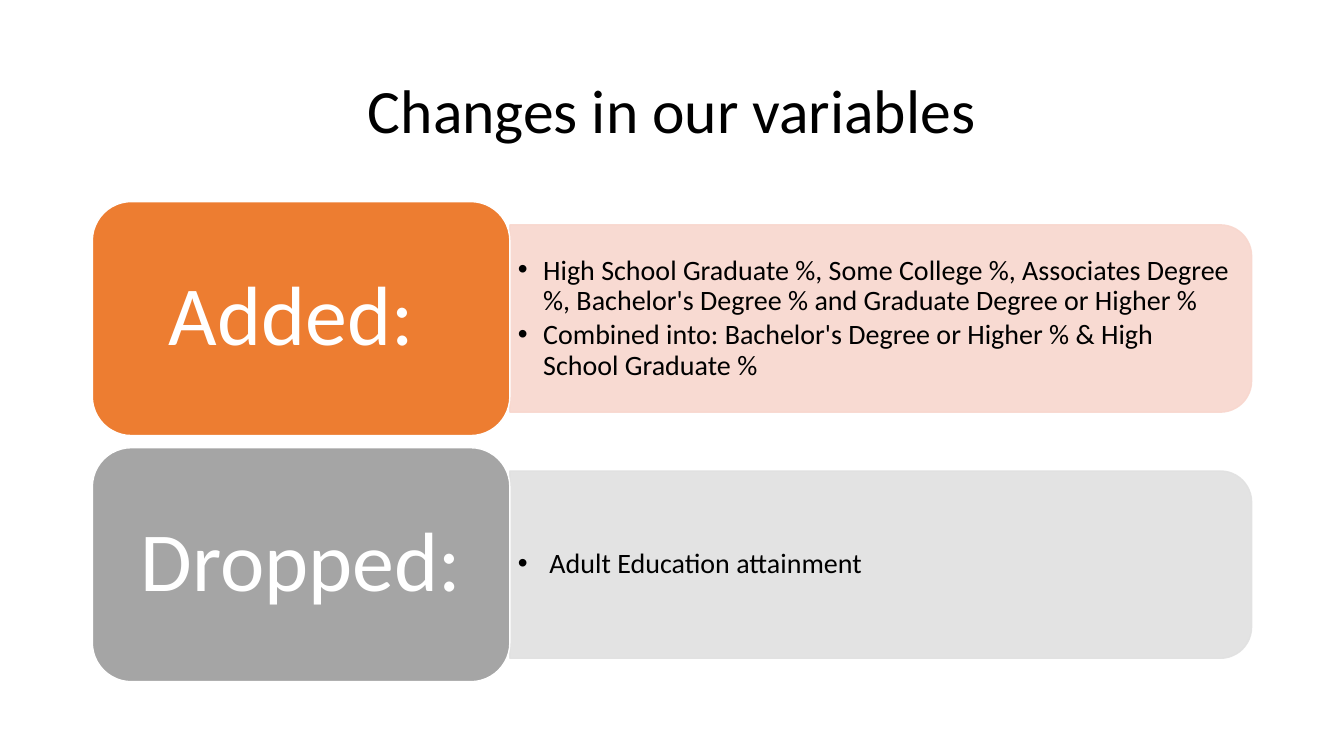
from dataclasses import dataclass

from lxml.etree import SubElement
from pptx import Presentation
from pptx.dml.color import RGBColor
from pptx.enum.shapes import MSO_SHAPE
from pptx.enum.text import MSO_ANCHOR, PP_ALIGN
from pptx.oxml.ns import qn
from pptx.shapes.autoshape import Shape
from pptx.slide import Slide
from pptx.text.text import TextFrame
from pptx.util import Inches, Pt

# The grid has 160 columns and 90 rows of square cells.
WIDTH, HEIGHT = Inches(13.333), Inches(7.5)
CELL = HEIGHT / 90
LEFT, TOP = 11, 24
LABEL_W, LABEL_H = 49.7, 27.85
PANEL_W, PANEL_H = 88.3, 22.3
TEXT_W = 87.2
PITCH = 29.3
FONT = "Calibri"


@dataclass
class Box:
    """A place on the grid, in columns and rows."""
    x: float
    y: float
    w: float
    h: float

    def size(self) -> tuple[int, ...]:
        return tuple(round(n * CELL) for n in (self.x, self.y, self.w, self.h))


@dataclass
class Change:
    label: str
    items: list[str]
    dark: str
    pale: str


CHANGES = [
    Change("Added: ", [
        "High School Graduate %, Some College %, Associates Degree %, "
        "Bachelor's Degree % and Graduate Degree or Higher %",
        "Combined into: Bachelor's Degree or Higher % & High School Graduate %",
    ], "ED7D31", "F8D7CE"),
    Change("Dropped:", [" Adult Education attainment"], "A5A5A5", "E1E1E1"),
]


def color(code: str) -> RGBColor:
    return RGBColor.from_string(code)


def write(frame: TextFrame, lines: list[str], size: int, ink: str,
          pad: tuple[float, float], bullet: bool = False) -> None:
    frame.word_wrap = True
    frame.vertical_anchor = MSO_ANCHOR.MIDDLE
    frame.margin_left = frame.margin_right = Inches(pad[0])
    frame.margin_top = frame.margin_bottom = Inches(pad[1])
    for i, line in enumerate(lines):
        para = frame.add_paragraph() if i else frame.paragraphs[0]
        para.text = line
        para.alignment = PP_ALIGN.LEFT if bullet else PP_ALIGN.CENTER
        if bullet:
            props = para._p.get_or_add_pPr()
            props.set("marL", str(Inches(0.25)))
            props.set("indent", str(-Inches(0.25)))
            SubElement(props, qn("a:buFont"), typeface="Arial")
            SubElement(props, qn("a:buChar"), char="•")
            para.space_after = Pt(3)
        para.line_spacing = 0.9
        para.font.size = Pt(size)
        para.font.name = FONT
        para.font.color.rgb = color(ink)


def add_text(slide: Slide, box: Box) -> TextFrame:
    return slide.shapes.add_textbox(*box.size()).text_frame


def add_block(slide: Slide, kind: MSO_SHAPE, box: Box,
              fill: str, line: str) -> Shape:
    shape = slide.shapes.add_shape(kind, *box.size())
    shape.shadow.inherit = False
    shape.fill.solid()
    shape.fill.fore_color.rgb = color(fill)
    shape.line.color.rgb = color(line)
    shape.line.width = Pt(1)
    return shape


def add_panel(slide: Slide, box: Box, fill: str) -> None:
    """Draw a see-through block, turned so its round corners face right."""
    turned = Box(box.x + (box.w - box.h) / 2, box.y - (box.w - box.h) / 2,
                 box.h, box.w)
    shape = add_block(slide, MSO_SHAPE.ROUND_2_SAME_RECTANGLE, turned,
                      fill, fill)
    shape.rotation = 90
    for tint in shape._element.spPr.iter(qn("a:srgbClr")):
        SubElement(tint, qn("a:alpha"), val="90000")


def add_change(slide: Slide, change: Change, top: float) -> None:
    panel = Box(LEFT + LABEL_W, top + (LABEL_H - PANEL_H) / 2,
                PANEL_W, PANEL_H)
    add_panel(slide, panel, change.pale)
    frame = add_text(slide, Box(panel.x, panel.y, TEXT_W, PANEL_H))
    write(frame, change.items, 20, "000000", (0.08, 0.04), bullet=True)
    label = add_block(slide, MSO_SHAPE.ROUNDED_RECTANGLE,
                      Box(LEFT, top, LABEL_W, LABEL_H), change.dark, "FFFFFF")
    write(label.text_frame, [change.label], 60, "FFFFFF", (0.25, 0.12))


def main() -> None:
    deck = Presentation()
    deck.slide_width, deck.slide_height = WIDTH, HEIGHT
    slide = deck.slides.add_slide(deck.slide_layouts[6])
    title = add_text(slide, Box(LEFT, 4.8, 138, 17.4))
    write(title, ["Changes in our variables"], 44, "000000", (0.1, 0.05))
    for i, change in enumerate(CHANGES):
        add_change(slide, change, TOP + i * PITCH)
    deck.save("out.pptx")


if __name__ == "__main__":
    main()
